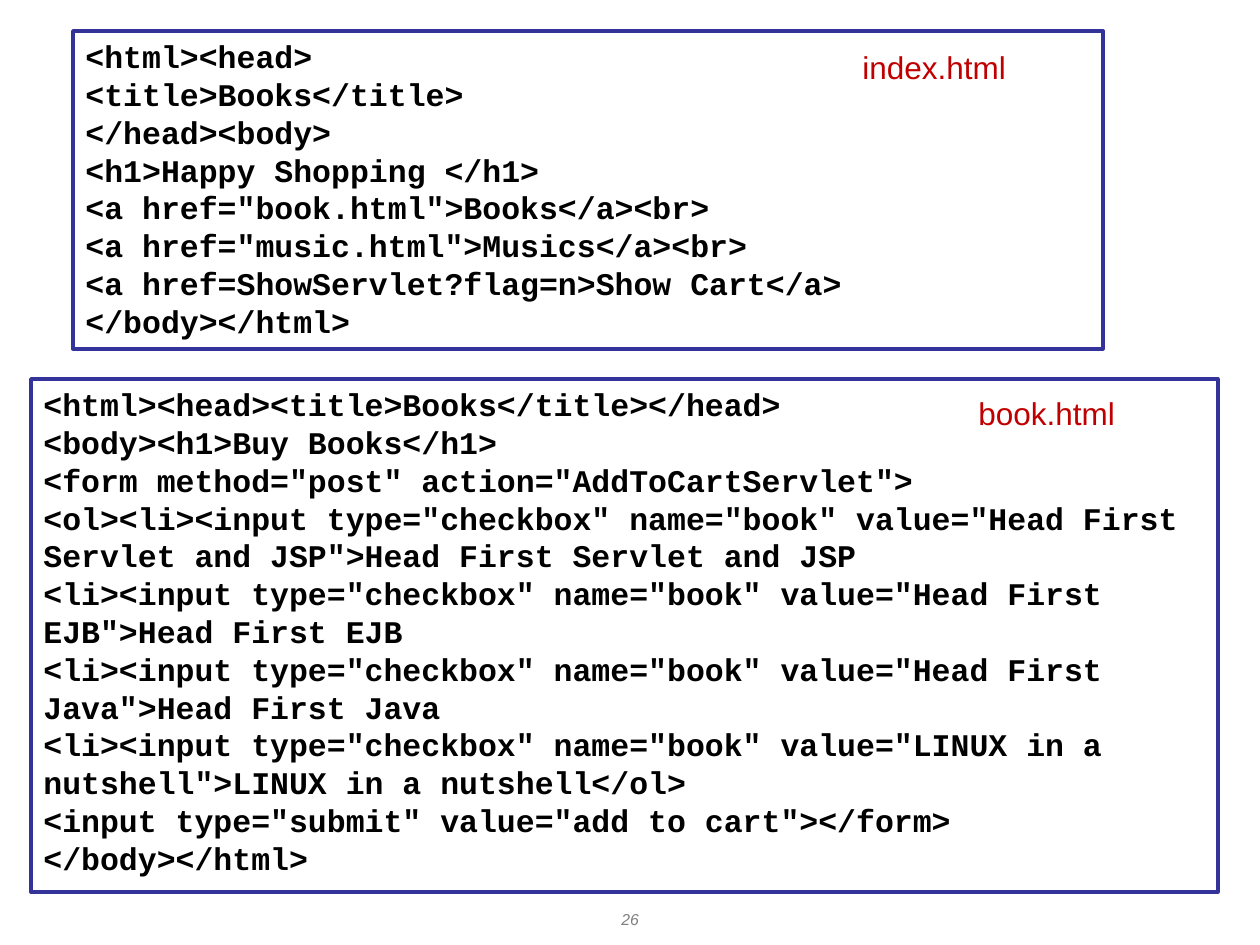
from pptx import Presentation
from pptx.dml.color import RGBColor
from pptx.enum.shapes import MSO_SHAPE
from pptx.enum.text import MSO_ANCHOR, PP_ALIGN
from pptx.util import Emu, Pt

EMU_PER_PX = 914400 / 126

WHITE = RGBColor(0xFF, 0xFF, 0xFF)
BLACK = RGBColor(0x00, 0x00, 0x00)
NAVY = RGBColor(0x33, 0x33, 0x99)
RED = RGBColor(0xC0, 0x00, 0x00)
GRAY = RGBColor(0x80, 0x80, 0x80)

INDEX_CODE = """<html><head>
<title>Books</title>
</head><body>
<h1>Happy Shopping </h1>
<a href="book.html">Books</a><br>
<a href="music.html">Musics</a><br>
<a href=ShowServlet?flag=n>Show Cart</a>
</body></html>"""

BOOK_CODE = """<html><head><title>Books</title></head>
<body><h1>Buy Books</h1>
<form method="post" action="AddToCartServlet">
<ol><li><input type="checkbox" name="book" value="Head First Servlet and JSP">Head First Servlet and JSP
<li><input type="checkbox" name="book" value="Head First EJB">Head First EJB
<li><input type="checkbox" name="book" value="Head First Java">Head First Java
<li><input type="checkbox" name="book" value="LINUX in a nutshell">LINUX in a nutshell</ol>
<input type="submit" value="add to cart"></form>
</body></html>"""


def px(length):
    return Emu(round(length * EMU_PER_PX))


def write_text(shape, text, font="Arial", size=18, color=BLACK, bold=False,
               italic=False, align=PP_ALIGN.LEFT, anchor=MSO_ANCHOR.TOP):
    """Write one paragraph for each line of text."""
    frame = shape.text_frame
    frame.word_wrap = True
    frame.vertical_anchor = anchor
    for index, line in enumerate(text.split("\n")):
        para = frame.add_paragraph() if index else frame.paragraphs[0]
        para.alignment = align
        span = para.add_run()
        span.text = line
        span.font.name = font
        span.font.size = Pt(size)
        span.font.bold = bold
        span.font.italic = italic
        span.font.color.rgb = color


def add_code_box(page, code, left, top, width, height):
    box = page.shapes.add_shape(MSO_SHAPE.RECTANGLE,
                                px(left), px(top), px(width), px(height))
    box.shadow.inherit = False
    box.fill.solid()
    box.fill.fore_color.rgb = WHITE
    box.line.color.rgb = NAVY
    box.line.width = Pt(2)
    write_text(box, code, font="Courier New", bold=True)


def add_label(page, text, left, top, width, height, **text_format):
    box = page.shapes.add_textbox(px(left), px(top), px(width), px(height))
    write_text(box, text, **text_format)


def main():
    deck = Presentation()
    deck.slide_width, deck.slide_height = px(1260), px(945)
    page = deck.slides.add_slide(deck.slide_layouts[6])

    # Page number
    add_label(page, "26", 483, 903, 294, 33, size=9, color=GRAY, italic=True,
              align=PP_ALIGN.CENTER, anchor=MSO_ANCHOR.MIDDLE)

    # Source listings
    add_code_box(page, INDEX_CODE, 73, 31, 1030, 318)
    add_code_box(page, BOOK_CODE, 31, 379, 1187, 513)

    # File names
    add_label(page, "index.html", 850, 42, 220, 50, color=RED)
    add_label(page, "book.html", 966, 388, 220, 50, color=RED)

    deck.save("out.pptx")


if __name__ == "__main__":
    main()
